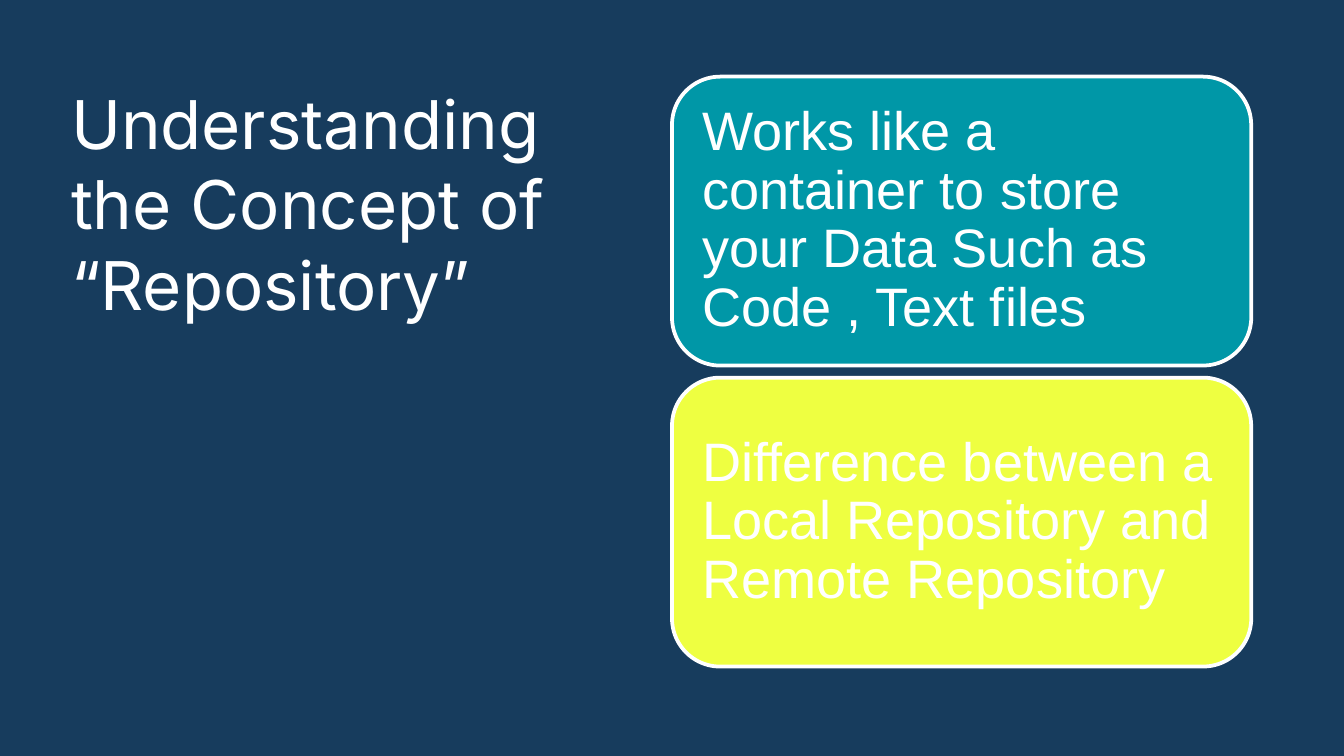
from dataclasses import dataclass

from pptx import Presentation
from pptx.dml.color import RGBColor
from pptx.enum.shapes import MSO_SHAPE
from pptx.enum.text import MSO_ANCHOR, PP_ALIGN
from pptx.slide import Slide
from pptx.text.text import TextFrame
from pptx.util import Inches, Pt


@dataclass(frozen=True)
class Theme:
    background: RGBColor = RGBColor.from_string("173C5D")
    white: RGBColor = RGBColor.from_string("FFFFFF")
    teal: RGBColor = RGBColor.from_string("0097A7")
    lime: RGBColor = RGBColor.from_string("EEFF41")
    title_font: str = "Inter"
    body_font: str = "Arial"
    title_size: Pt = Pt(36)
    body_size: Pt = Pt(29)
    outline: Pt = Pt(2)


@dataclass(frozen=True)
class Card:
    text: str
    fill: RGBColor


THEME = Theme()
CARD_LEFT, CARD_TOP = 5, 0.57
CARD_WIDTH, CARD_HEIGHT = 4.31, 2.15
CARD_GAP = 0.09

CARDS = [
    Card("Works like a container to store your Data Such as Code , Text files", THEME.teal),
    Card("Difference between a Local Repository and Remote Repository", THEME.lime),
]


def write(frame: TextFrame, text: str, font: str, size: Pt, inset: float,
          anchor: MSO_ANCHOR, line_spacing: float) -> None:
    frame.word_wrap = True
    frame.vertical_anchor = anchor
    frame.margin_left = frame.margin_right = Inches(inset)
    frame.margin_top = frame.margin_bottom = Inches(inset)
    frame.text = text
    paragraph = frame.paragraphs[0]
    paragraph.alignment = PP_ALIGN.LEFT
    paragraph.line_spacing = line_spacing
    for run in paragraph.runs:
        run.font.name = font
        run.font.size = size
        run.font.color.rgb = THEME.white


def draw_title(slide: Slide, text: str) -> None:
    title = slide.shapes.add_textbox(Inches(0.43), Inches(0.51), Inches(4.25), Inches(4.51))
    write(title.text_frame, text, THEME.title_font, THEME.title_size, 0.1, MSO_ANCHOR.TOP, 1.0)


def draw_card(slide: Slide, card: Card, top: float) -> None:
    panel = slide.shapes.add_shape(
        MSO_SHAPE.ROUNDED_RECTANGLE,
        Inches(CARD_LEFT), Inches(top), Inches(CARD_WIDTH), Inches(CARD_HEIGHT),
    )
    panel.shadow.inherit = False
    panel.fill.solid()
    panel.fill.fore_color.rgb = card.fill
    panel.line.color.rgb = THEME.white
    panel.line.width = THEME.outline
    write(panel.text_frame, card.text, THEME.body_font, THEME.body_size, 0.12,
          MSO_ANCHOR.MIDDLE, 0.9)


def main() -> None:
    presentation = Presentation()
    presentation.slide_width = Inches(10)
    presentation.slide_height = Inches(10) * 9 // 16
    slide = presentation.slides.add_slide(presentation.slide_layouts[6])
    slide.background.fill.solid()
    slide.background.fill.fore_color.rgb = THEME.background

    draw_title(slide, "Understanding the Concept of “Repository”")
    for row, card in enumerate(CARDS):
        draw_card(slide, card, CARD_TOP + row * (CARD_HEIGHT + CARD_GAP))

    presentation.save("out.pptx")


if __name__ == "__main__":
    main()
